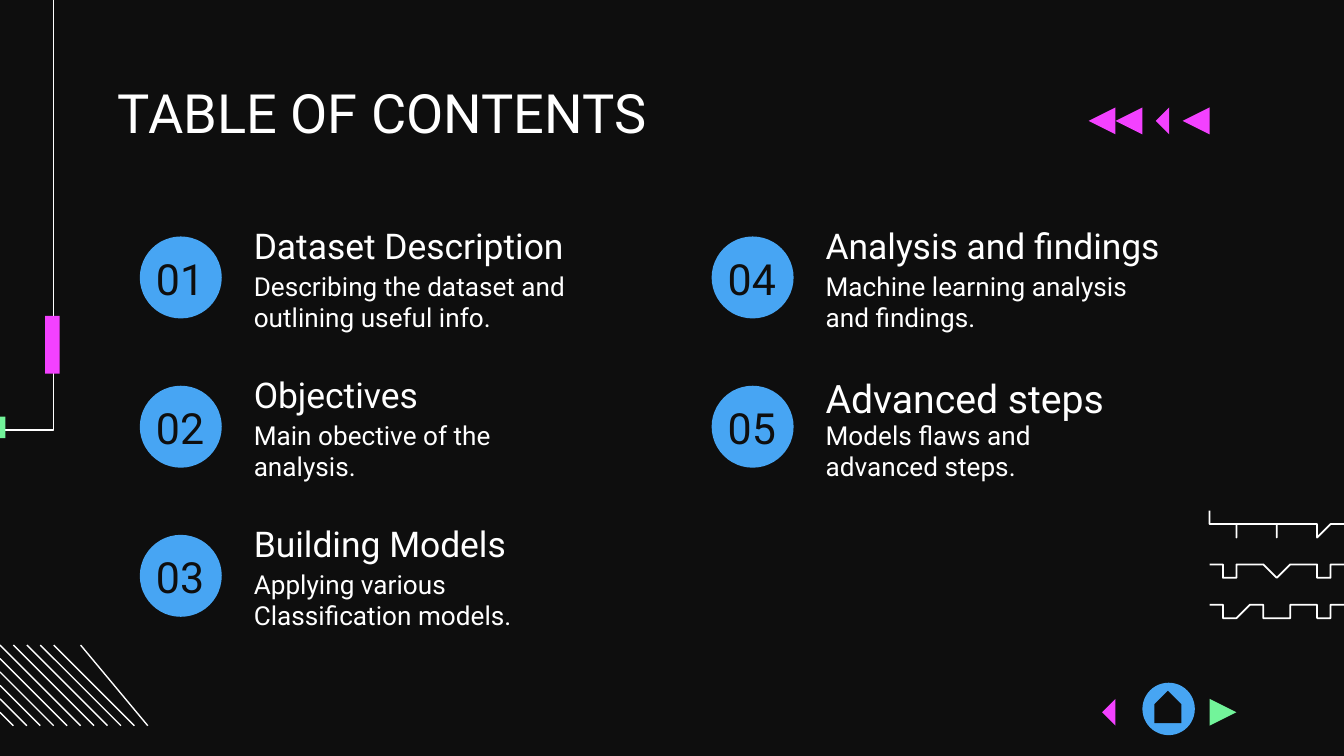
from math import cos, pi

from pptx import Presentation
from pptx.dml.color import RGBColor
from pptx.enum.shapes import MSO_SHAPE
from pptx.enum.text import MSO_ANCHOR, PP_ALIGN
from pptx.util import Inches, Pt

# The slide is a grid of square cells: 100 columns by 56.25 rows.
COLUMNS, ROWS = 100, 56.25
CELL = Inches(10) // COLUMNS
COLORS = {
    "background": "0E0E0E",
    "white": "FFFFFF",
    "blue": "47A5F3",
    "pink": "F341FF",
    "green": "72F49A",
}
FONT = "Roboto"

# Column, row, number, heading, description, heading size
TOPICS = [
    (0, 0, "01", "Dataset Description",
     "Describing the dataset and outlining useful info.", 19),
    (0, 1, "02", "Objectives", "Main obective of the analysis.", 19),
    (0, 2, "03", "Building Models",
     "Applying various Classification models.", 19),
    (1, 0, "04", "Analysis and findings",
     "Machine learning analysis and findings.", 19),
    (1, 1, "05", "Advanced steps", "Models flaws and advanced steps.", 21),
]


def cells(count):
    return round(count * CELL)


def color(name):
    return RGBColor.from_string(COLORS[name])


class SlideBuilder:
    def __init__(self, slide):
        self.slide = slide
        background = slide.background.fill
        background.solid()
        background.fore_color.rgb = color("background")

    def fill(self, shape, name):
        shape.shadow.inherit = False
        shape.fill.solid()
        shape.fill.fore_color.rgb = color(name)
        shape.line.fill.background()

    def preset(self, kind, left, top, width, height, name, rotation=0):
        shape = self.slide.shapes.add_shape(
            kind, cells(left), cells(top), cells(width), cells(height))
        shape.rotation = rotation
        self.fill(shape, name)

    def outline(self, points, close):
        builder = self.slide.shapes.build_freeform(*points[0], scale=CELL)
        builder.add_line_segments(points[1:], close=close)
        return builder.convert_to_shape()

    def stroke(self, points, weight=0.75):
        shape = self.outline(points, close=False)
        shape.shadow.inherit = False
        shape.fill.background()
        shape.line.color.rgb = color("white")
        shape.line.width = Pt(weight)

    def triangle(self, base, top, width, name):
        """Draw a sideways triangle; a negative width points it left."""
        points = [(base, top), (base + width, top + 1), (base, top + 2)]
        self.fill(self.outline(points, close=True), name)

    def text(self, words, left, top, width, height, size, name="white",
             inset_top=0, align=PP_ALIGN.LEFT, spacing=1.0):
        box = self.slide.shapes.add_textbox(
            cells(left), cells(top), cells(width), cells(height))
        frame = box.text_frame
        frame.word_wrap = True
        frame.vertical_anchor = MSO_ANCHOR.TOP
        frame.margin_left = frame.margin_right = frame.margin_bottom = cells(1)
        frame.margin_top = cells(inset_top)
        paragraph = frame.paragraphs[0]
        paragraph.text = words
        paragraph.alignment = align
        paragraph.line_spacing = spacing
        paragraph.font.name = FONT
        paragraph.font.size = Pt(size)
        paragraph.font.color.rgb = color(name)

    def wave(self, top):
        left, half_period, height, steps = 90.2, 1.62, 1.05, 60
        width = COLUMNS - left
        offsets = [width * step / steps for step in range(steps + 1)]
        self.stroke([(left + x, top + height * (1 - cos(pi * x / half_period)) / 2)
                     for x in offsets], 0.95)

    def hatching(self):
        top, drop = 48, 5.67
        for index in range(11):
            left = -5 + 1.055 * index
            hidden = max(0, -left)
            self.stroke([(left + hidden, top + hidden),
                         (left + drop, top + drop)])

    def topic(self, column, row, number, heading, description, size):
        left, top = 8.9 + 42.55 * column, 16.2 + 11.1 * row
        self.preset(MSO_SHAPE.OVAL, left + 1.5, top + 1.4, 6.1, 6.1, "blue")
        self.text(number, left, top + 0.6, 9, 6.1, 23, "background",
                  inset_top=2, align=PP_ALIGN.CENTER)
        self.text(heading, left + 9, top, 31.6, 3.9, size, spacing=1.15)
        self.text(description, left + 9, top + 3.9, 25.7, 6, 14)


def main():
    presentation = Presentation()
    presentation.slide_width = cells(COLUMNS)
    presentation.slide_height = cells(ROWS)
    page = SlideBuilder(
        presentation.slides.add_slide(presentation.slide_layouts[6]))

    for index in range(3):
        page.wave(38.5 + 3.2 * index)
    page.hatching()
    page.stroke([(0, 31.75), (3.9, 31.75), (3.9, 0)])
    page.preset(MSO_SHAPE.RECTANGLE, 0, 31, 0.4, 1.6, "green")
    page.preset(MSO_SHAPE.RECTANGLE, 3.35, 23.5, 1.1, 4.3, "pink")

    page.text("TABLE OF CONTENTS", 7.8, 5.9, 84.4, 4.6, 29)
    for topic in TOPICS:
        page.topic(*topic)

    for index in range(4):
        page.triangle(89.5 - 2.3 * index, 7.9, -1.7, "pink")
    page.preset(MSO_SHAPE.OVAL, 85, 50.8, 3.9, 3.9, "blue")
    page.preset(MSO_SHAPE.PENTAGON, 85.7, 51.6, 2.4, 2, "background", 270)
    page.triangle(83.3, 51.7, -1.7, "pink")
    page.triangle(90.5, 51.7, 1.7, "green")

    presentation.save("out.pptx")


if __name__ == "__main__":
    main()
